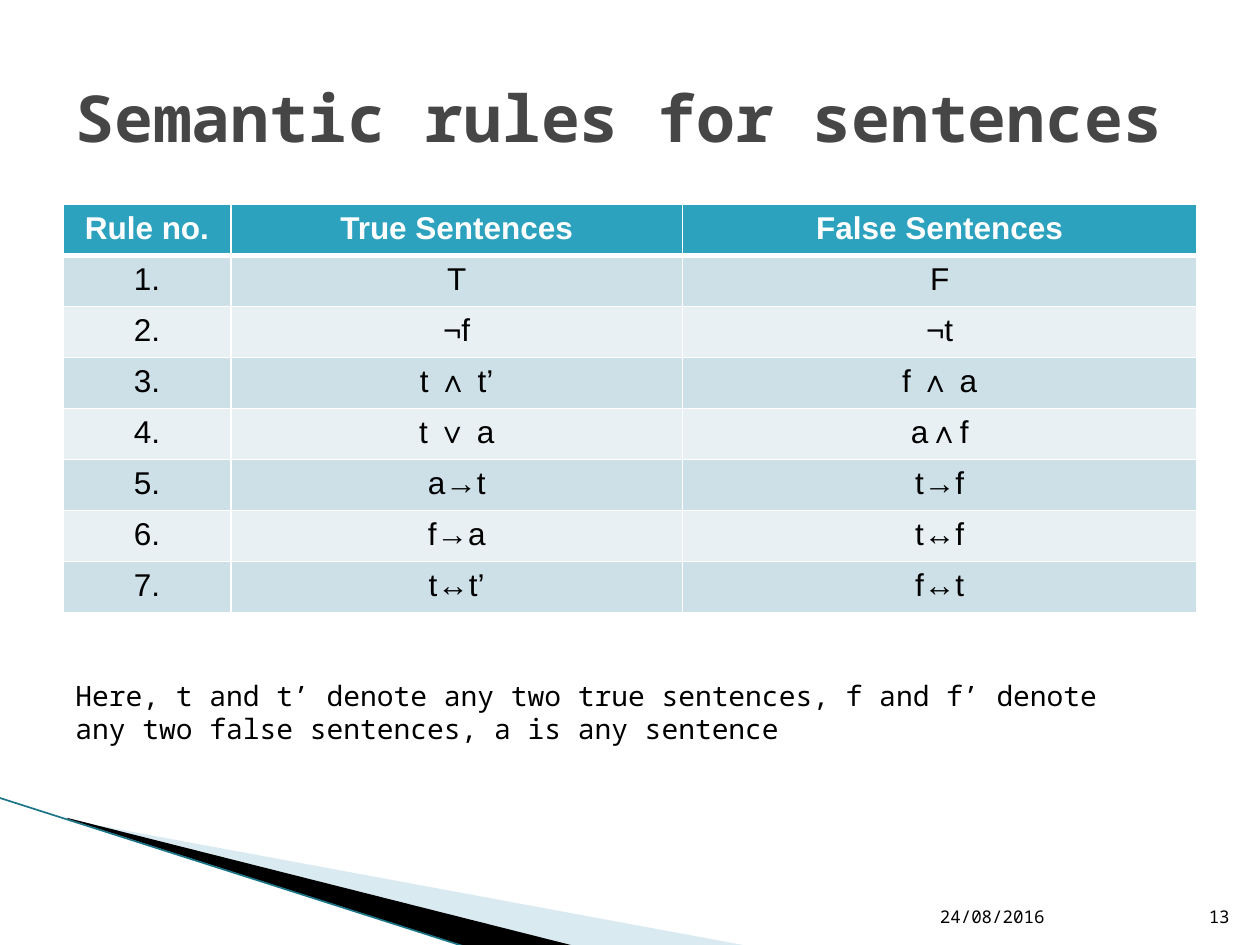
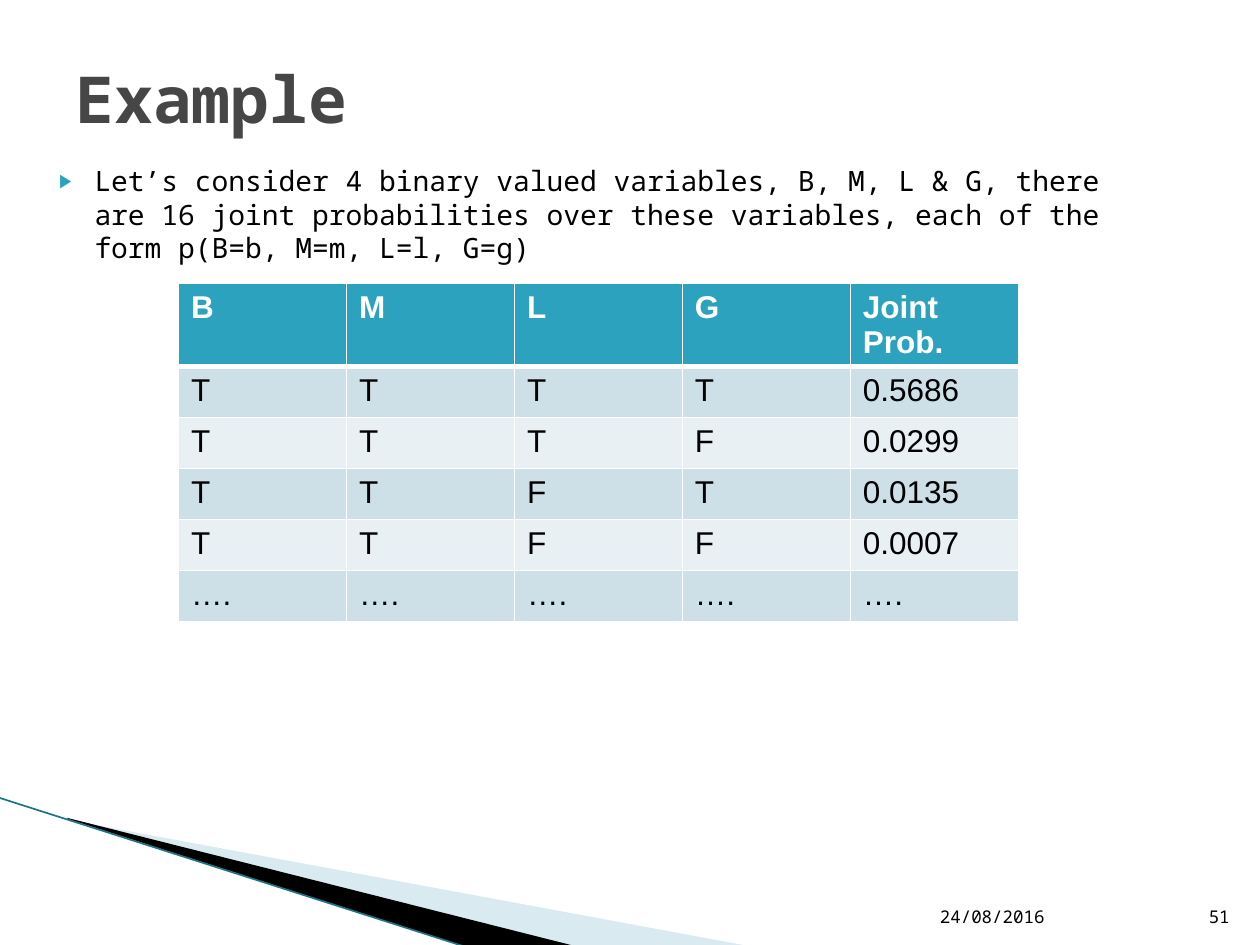
from dataclasses import dataclass

from lxml.etree import SubElement
from pptx import Presentation
from pptx.dml.color import RGBColor
from pptx.enum.shapes import MSO_CONNECTOR
from pptx.enum.text import MSO_ANCHOR, MSO_AUTO_SIZE, PP_ALIGN
from pptx.oxml.ns import qn
from pptx.slide import Slide
from pptx.text.text import TextFrame
from pptx.util import Pt

WHITE = RGBColor(0xFF, 0xFF, 0xFF)
BLACK = RGBColor(0x00, 0x00, 0x00)
TITLE_GREY = RGBColor(0x46, 0x46, 0x46)
TEAL = RGBColor(0x2D, 0xA2, 0xBF)
EDGE_TEAL = RGBColor(0x1B, 0x75, 0x87)
PALE_BLUE = RGBColor(0xA0, 0xCB, 0xDC)
ROW_DARK = RGBColor(0xCD, 0xE0, 0xE8)
ROW_LIGHT = RGBColor(0xE8, 0xF0, 0xF4)
MONO = "Noto Sans Mono"
SANS = "Arial"
ROW_HEIGHT = 29.16


@dataclass(frozen=True)
class Box:
    left: float
    top: float
    width: float
    height: float

    def lengths(self) -> tuple:
        return Pt(self.left), Pt(self.top), Pt(self.width), Pt(self.height)


@dataclass(frozen=True)
class Wedge:
    frame: Box
    points: tuple
    color: RGBColor
    opacity: int


@dataclass(frozen=True)
class Grid:
    left: float
    top: float
    widths: tuple
    rows: tuple
    align: PP_ALIGN


WEDGES = (
    Wedge(Box(56.2, 393.8, 299.5, 113.8),
          ((39.6, 468.7), (428.4, 540.7), (328.3, 540.7), (39.6, 468)), PALE_BLUE, 40),
    Wedge(Box(-4.3, 455.8, 299.5, 66.2),
          ((38.2, 467.3), (329, 540.7), (267.8, 541.4), (38.9, 468)), BLACK, 100),
)
DATE_BOX = Box(530, 504.7, 151, 28.8)
NUMBER_BOX = Box(681, 504.7, 28.8, 28.8)

RULES = Grid(
    36, 116.9, (96, 258, 294),
    (
        ("Rule no.", "True Sentences", "False Sentences"),
        ("1.", "T", "F"),
        ("2.", "¬f", "¬t"),
        ("3.", "t ∧ t’", "f ∧ a"),
        ("4.", "t ∨ a", "a∧f"),
        ("5.", "a→t", "t→f"),
        ("6.", "f→a", "t↔f"),
        ("7.", "t↔t’", "f↔t"),
    ),
    PP_ALIGN.CENTER,
)
PROBABILITIES = Grid(
    102, 162, (96,) * 5,
    (
        ("B", "M", "L", "G", "Joint Prob."),
        ("T", "T", "T", "T", "0.5686"),
        ("T", "T", "T", "F", "0.0299"),
        ("T", "T", "F", "T", "0.0135"),
        ("T", "T", "F", "F", "0.0007"),
        ("….",) * 5,
    ),
    PP_ALIGN.LEFT,
)


def style_text(tf: TextFrame, size: float, color: RGBColor = BLACK, font: str = MONO,
               bold: bool = False, align: PP_ALIGN = PP_ALIGN.LEFT) -> None:
    for p in tf.paragraphs:
        p.alignment = align
        for r in p.runs:
            r.font.name = font
            r.font.size = Pt(size)
            r.font.bold = bold
            r.font.color.rgb = color


def add_text(s: Slide, box: Box, text: str, size: float,
             anchor: MSO_ANCHOR = MSO_ANCHOR.TOP, align: PP_ALIGN = PP_ALIGN.LEFT) -> None:
    tf = s.shapes.add_textbox(*box.lengths()).text_frame
    tf.word_wrap = True
    tf.vertical_anchor = anchor
    tf.text = text
    style_text(tf, size, align=align)


def fill_placeholder(sp, box: Box, text: str, anchor: MSO_ANCHOR) -> TextFrame:
    sp.left, sp.top, sp.width, sp.height = box.lengths()
    tf = sp.text_frame
    tf.text = text
    tf.word_wrap = True
    tf.auto_size = MSO_AUTO_SIZE.NONE
    tf.vertical_anchor = anchor
    return tf


def set_frame(sp, frame: Box) -> None:
    left, top, width, height = frame.lengths()
    dx, dy = sp.left - left, sp.top - top
    outline = next(sp._element.iter(qn("a:path")))
    for pt in outline.iter(qn("a:pt")):
        pt.set("x", str(int(pt.get("x")) + dx))
        pt.set("y", str(int(pt.get("y")) + dy))
    outline.set("w", str(width))
    outline.set("h", str(height))
    sp.left, sp.top, sp.width, sp.height = left, top, width, height


def add_wedge(s: Slide, wedge: Wedge) -> None:
    points = [(Pt(x), Pt(y)) for x, y in wedge.points]
    builder = s.shapes.build_freeform(*points[0])
    builder.add_line_segments(points[1:], close=True)
    sp = builder.convert_to_shape()
    set_frame(sp, wedge.frame)
    sp.shadow.inherit = False
    sp.fill.solid()
    sp.fill.fore_color.rgb = wedge.color
    sp.line.fill.background()
    if wedge.opacity < 100:
        color = sp.fill._xPr.find(qn("a:solidFill"))[0]
        SubElement(color, qn("a:alpha"), val=str(wedge.opacity * 1000))


def add_swoosh(s: Slide) -> None:
    for wedge in WEDGES:
        add_wedge(s, wedge)
    edge = s.shapes.add_connector(
        MSO_CONNECTOR.STRAIGHT, Pt(-0.7), Pt(455.8), Pt(267.1), Pt(541.4))
    edge.line.color.rgb = EDGE_TEAL
    edge.line.width = Pt(0.95)
    SubElement(edge._element.spPr, qn("a:effectLst"))


def add_slide(prs: Presentation, layout: int, title: str, title_height: float,
              number: int) -> Slide:
    s = prs.slides.add_slide(prs.slide_layouts[layout])
    box = Box(36, 21.6, 648, title_height)
    tf = fill_placeholder(s.shapes.title, box, title, MSO_ANCHOR.MIDDLE)
    style_text(tf, 37, TITLE_GREY, bold=True)
    add_swoosh(s)
    add_text(s, DATE_BOX, "24/08/2016", 10, MSO_ANCHOR.BOTTOM)
    add_text(s, NUMBER_BOX, str(number), 10, MSO_ANCHOR.BOTTOM, PP_ALIGN.RIGHT)
    return s


def set_borders(cell, top: float, bottom: float) -> None:
    tcPr = cell._tc.get_or_add_tcPr()
    for side, width in (("L", 1), ("R", 1), ("T", top), ("B", bottom)):
        ln = SubElement(tcPr, qn(f"a:ln{side}"), w=str(Pt(width)))
        fill = SubElement(ln, qn("a:solidFill"))
        SubElement(fill, qn("a:srgbClr"), val=str(WHITE))


def add_grid(s: Slide, grid: Grid) -> None:
    box = Box(grid.left, grid.top, sum(grid.widths), ROW_HEIGHT * len(grid.rows))
    table = s.shapes.add_table(len(grid.rows), len(grid.widths), *box.lengths()).table
    for column, width in zip(table.columns, grid.widths):
        column.width = Pt(width)
    for i, values in enumerate(grid.rows):
        header = i == 0
        table.rows[i].height = Pt(ROW_HEIGHT)
        for j, value in enumerate(values):
            cell = table.cell(i, j)
            cell.text = value
            style_text(cell.text_frame, 18, WHITE if header else BLACK, SANS,
                       header, grid.align)
            set_borders(cell, 3 if i == 1 else 1, 3 if header else 1)
            cell.fill.solid()
            cell.fill.fore_color.rgb = TEAL if header else (ROW_LIGHT, ROW_DARK)[i % 2]
            if header:
                cell.margin_bottom = Pt(0.7)


def set_bullet(tf: TextFrame) -> None:
    for p in tf.paragraphs:
        p.space_before = Pt(4)
        pPr = p._p.get_or_add_pPr()
        pPr.set("marL", str(Pt(28.8)))
        pPr.set("indent", str(Pt(-20.16)))
        color = SubElement(pPr, qn("a:buClr"))
        SubElement(color, qn("a:srgbClr"), val=str(TEAL))
        SubElement(pPr, qn("a:buSzPct"), val="68000")
        SubElement(pPr, qn("a:buFont"), typeface=SANS)
        SubElement(pPr, qn("a:buChar"), char="▶")


def build_rules(prs: Presentation) -> None:
    s = add_slide(prs, 5, "Semantic rules for sentences", 90, 13)
    add_grid(s, RULES)
    add_text(s, Box(36, 384, 606, 46),
             "Here, t and t’ denote any two true sentences, f and f’ denote "
             "any two false sentences, a is any sentence", 16)


def build_example(prs: Presentation) -> None:
    s = add_slide(prs, 1, "Example", 68.4, 51)
    tf = fill_placeholder(
        s.placeholders[1], Box(18, 90, 648, 356.4),
        "Let’s consider 4 binary valued variables, B, M, L & G, there are 16 joint "
        "probabilities over these variables, each of the form p(B=b, M=m, L=l, G=g)",
        MSO_ANCHOR.TOP)
    style_text(tf, 16)
    set_bullet(tf)
    add_grid(s, PROBABILITIES)


def main() -> None:
    prs = Presentation()
    prs.slide_width = Pt(720)
    prs.slide_height = Pt(540)
    build_rules(prs)
    build_example(prs)
    prs.save("out.pptx")


main()
